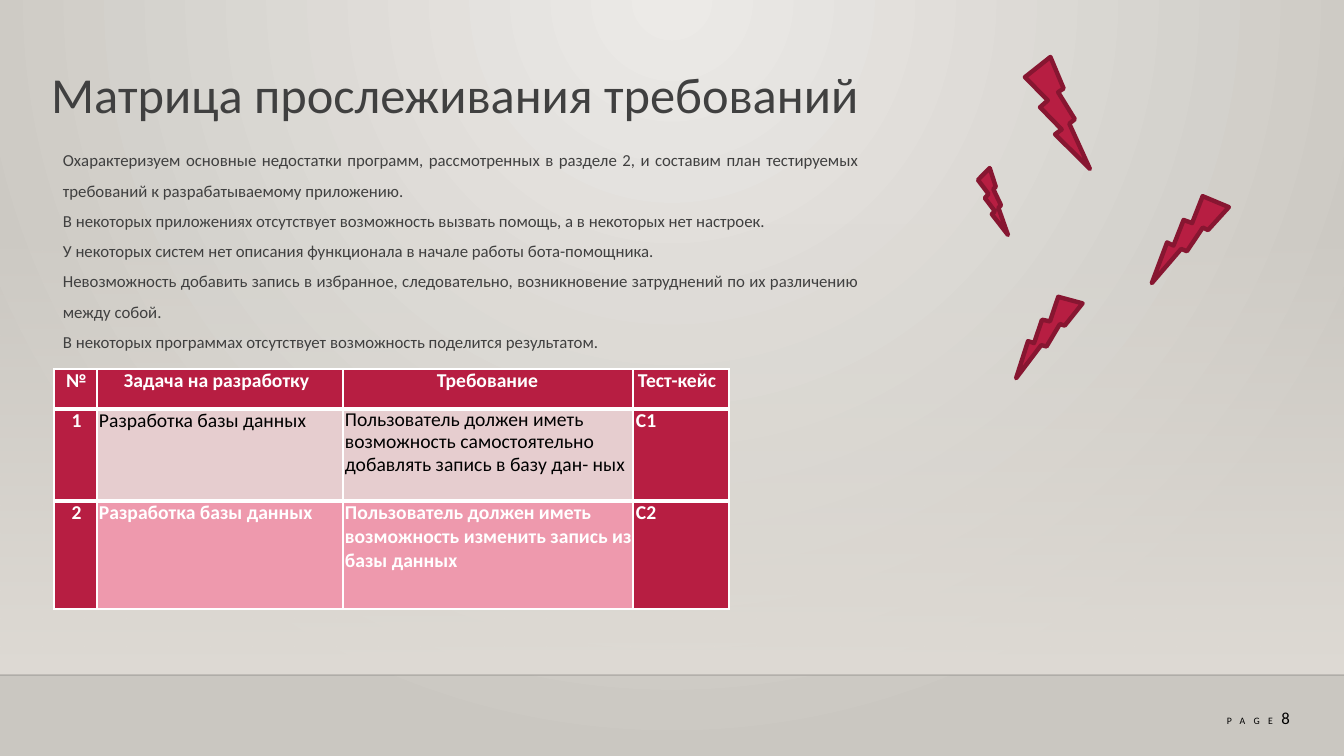
from lxml.etree import SubElement
from pptx import Presentation
from pptx.dml.color import RGBColor
from pptx.enum.shapes import MSO_CONNECTOR, MSO_SHAPE
from pptx.enum.text import MSO_ANCHOR, MSO_AUTO_SIZE, PP_ALIGN
from pptx.oxml import parse_xml
from pptx.oxml.ns import nsdecls, qn
from pptx.util import Pt

FONT = "Calibri"
RED, DARK_RED, GREY, WHITE, BLACK = "B71E42", "871631", "404040", "FFFFFF", "000000"
PALE_PINK, PINK, SAND = "E6CDCF", "EE99AD", "DFDBD5"
TITLE = "Матрица прослеживания требований"
DRAWBACKS = [
    "Охарактеризуем основные недостатки программ, рассмотренных в разделе 2, "
    "и составим план тестируемых требований к разрабатываемому приложению.",
    "В некоторых приложениях отсутствует возможность вызвать помощь, а в некоторых нет настроек.",
    "У некоторых систем нет описания функционала в начале работы бота-помощника.",
    "Невозможность добавить запись в избранное, следовательно, возникновение затруднений "
    "по их различению между собой.",
    "В некоторых программах отсутствует возможность поделится результатом.",
]
ROWS = [
    ["№", "Задача на разработку", "Требование", "Тест-кейс"],
    ["1", "Разработка базы данных",
     "Пользователь должен иметь возможность самостоятельно добавлять запись в базу дан- ных", "С1"],
    ["2", "Разработка базы данных",
     "Пользователь должен иметь возможность изменить запись из базы данных", "С2"],
]
COLUMN_WIDTHS = [43, 246, 290, 96]
ROW_HEIGHTS = [40, 92, 108]
HEADER_INDENTS = [2, 27, 94, 5]
BODY_INDENTS = [2, 2, 2, 3]
ROW_FILLS = [RED, PALE_PINK, PINK]
BOLTS = [  # left, top, width, height, rotation
    (1025, 57, 65, 112, 0),
    (1021, 285, 47, 96, 58.2),
    (978, 168, 30, 67, 0),
    (1158, 184, 55, 103, 63.4),
]
SLIDE_WIDTH, SLIDE_HEIGHT, DIVIDER_TOP = 1344, 756, 675
SCALE = 914400 / 100.8


def px(length):
    return round(length * SCALE)


def box(*lengths):
    return [px(length) for length in lengths]


def rgb(color):
    return RGBColor.from_string(color)


def set_opacity(color_element, percent):
    SubElement(color_element, qn("a:alpha")).set("val", str(percent * 1000))


def set_gradient(fill, colors):
    fill.gradient()
    for stop, color in zip(fill.gradient_stops, colors):
        stop.color.rgb = rgb(color)


def format_run(run, size, color, bold=False):
    run.font.name, run.font.size, run.font.bold = FONT, Pt(size), bold
    run.font.color.rgb = rgb(color)


def set_borders(cell, row):
    """White hairlines, with thick rules between rows."""
    properties = cell._tc.get_or_add_tcPr()
    widths = {"L": 1, "R": 1, "T": 3 if row else 1, "B": 3 if row < len(ROWS) - 1 else 1}
    for index, (side, width) in enumerate(widths.items()):
        properties.insert(index, parse_xml(
            f'<a:ln{side} {nsdecls("a")} w="{Pt(width)}"><a:solidFill>'
            f'<a:srgbClr val="{WHITE}"/></a:solidFill></a:ln{side}>'))


def draw_background(slide):
    set_gradient(slide.background.fill, ["ECEAE7", "CAC7C1"])
    linear = next(slide._element.iter(qn("a:lin")))
    linear.getparent().replace(linear, parse_xml(
        f'<a:path {nsdecls("a")} path="circle">'
        '<a:fillToRect l="43000" t="0" r="43000" b="100000"/></a:path>'))

    panel_top = 223
    panel = slide.shapes.add_shape(
        MSO_SHAPE.RECTANGLE, *box(0, panel_top, SLIDE_WIDTH, DIVIDER_TOP - panel_top))
    panel.shadow.inherit = False
    panel.line.fill.background()
    set_gradient(panel.fill, [SAND, SAND])
    panel.fill.gradient_angle = 270
    set_opacity(next(panel._element.spPr.iter(qn("a:srgbClr"))), 0)

    divider = slide.shapes.add_connector(
        MSO_CONNECTOR.STRAIGHT, *box(0, DIVIDER_TOP, SLIDE_WIDTH, DIVIDER_TOP))
    divider.line.width = Pt(1)
    divider.line.color.rgb = rgb("000001")
    properties = divider._element.spPr
    set_opacity(next(properties.iter(qn("a:srgbClr"))), 20)
    SubElement(properties, qn("a:effectLst"))


def add_page_number(slide):
    frame = slide.shapes.add_textbox(*box(1217, 703, 105, 30)).text_frame
    frame.word_wrap = True
    for text, size, spacing in [("PAGE", 7, 600), ("8", 12, 0)]:
        run = frame.paragraphs[0].add_run()
        run.text = text
        format_run(run, size, BLACK)
        run.font._element.set("spc", str(spacing))


def add_title(slide):
    title = slide.shapes.title
    title.left, title.top, title.width, title.height = box(41, 57, 842, 72)
    frame = title.text_frame
    frame.text = TITLE
    frame.word_wrap, frame.auto_size = True, MSO_AUTO_SIZE.NONE
    frame.vertical_anchor = MSO_ANCHOR.MIDDLE
    paragraph = frame.paragraphs[0]
    paragraph.alignment = PP_ALIGN.LEFT
    format_run(paragraph.runs[0], 36, GREY)


def add_drawbacks(slide):
    frame = slide.shapes.add_textbox(*box(53, 135, 816, 221)).text_frame
    frame.word_wrap = True
    frame.text = "\n".join(DRAWBACKS)
    for paragraph in frame.paragraphs:
        paragraph.alignment = PP_ALIGN.JUSTIFY
        paragraph.line_spacing = 1.5
        format_run(paragraph.runs[0], 12, GREY)


def fill_cell(cell, row, column):
    cell.margin_left = cell.margin_right = cell.margin_top = cell.margin_bottom = 0
    cell.fill.solid()
    cell.fill.fore_color.rgb = rgb(RED if column in (0, 3) else ROW_FILLS[row])
    set_borders(cell, row)
    cell.text_frame.text = ROWS[row][column]
    paragraph = cell.text_frame.paragraphs[0]
    paragraph.alignment = PP_ALIGN.LEFT if column else PP_ALIGN.CENTER
    paragraph.space_before = Pt(1.1 if row and column else 1.3)
    if (row, column) == (1, 2):
        paragraph.space_before, paragraph.line_spacing = Pt(0.3), Pt(16.1)
    indents = BODY_INDENTS if row else HEADER_INDENTS
    paragraph._p.get_or_add_pPr().set("marL", str(px(indents[column])))
    plain = row == 1 and column in (1, 2)
    format_run(paragraph.runs[0], 14, BLACK if plain else WHITE, not plain)


def add_matrix(slide):
    table = slide.shapes.add_table(
        len(ROWS), len(COLUMN_WIDTHS),
        *box(54, 369, sum(COLUMN_WIDTHS), sum(ROW_HEIGHTS))).table
    table.first_row = table.horz_banding = False
    for column, width in zip(table.columns, COLUMN_WIDTHS):
        column.width = px(width)
    for row, height in enumerate(ROW_HEIGHTS):
        table.rows[row].height = px(height)
        for column in range(len(COLUMN_WIDTHS)):
            fill_cell(table.cell(row, column), row, column)


def add_bolts(slide):
    for *place, rotation in BOLTS:
        bolt = slide.shapes.add_shape(MSO_SHAPE.LIGHTNING_BOLT, *box(*place))
        bolt.rotation = rotation
        bolt.shadow.inherit = False
        bolt.fill.solid()
        bolt.fill.fore_color.rgb = rgb(RED)
        bolt.line.color.rgb = rgb(DARK_RED)
        bolt.line.width = Pt(3.15)


def main():
    presentation = Presentation()
    presentation.slide_width, presentation.slide_height = box(SLIDE_WIDTH, SLIDE_HEIGHT)
    slide = presentation.slides.add_slide(presentation.slide_layouts[5])
    draw_background(slide)
    add_page_number(slide)
    add_title(slide)
    add_drawbacks(slide)
    add_matrix(slide)
    add_bolts(slide)
    presentation.save("out.pptx")


if __name__ == "__main__":
    main()
